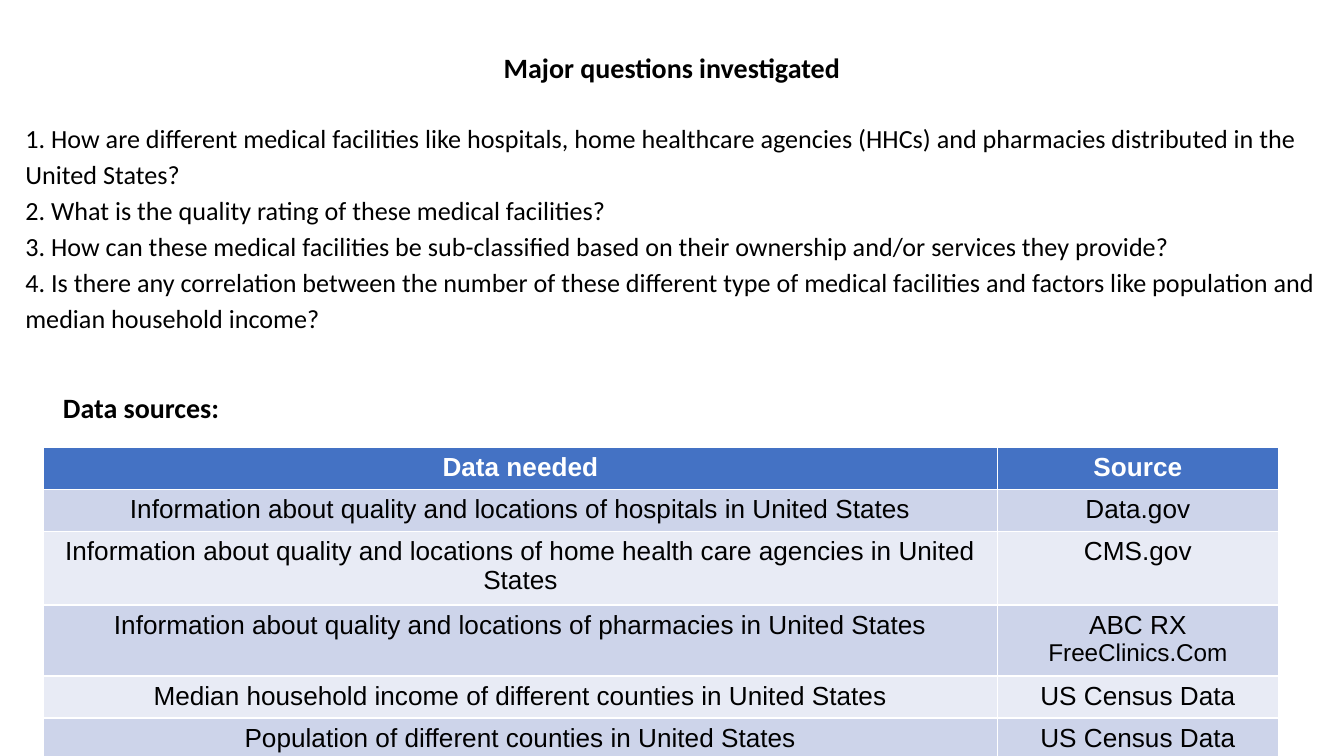
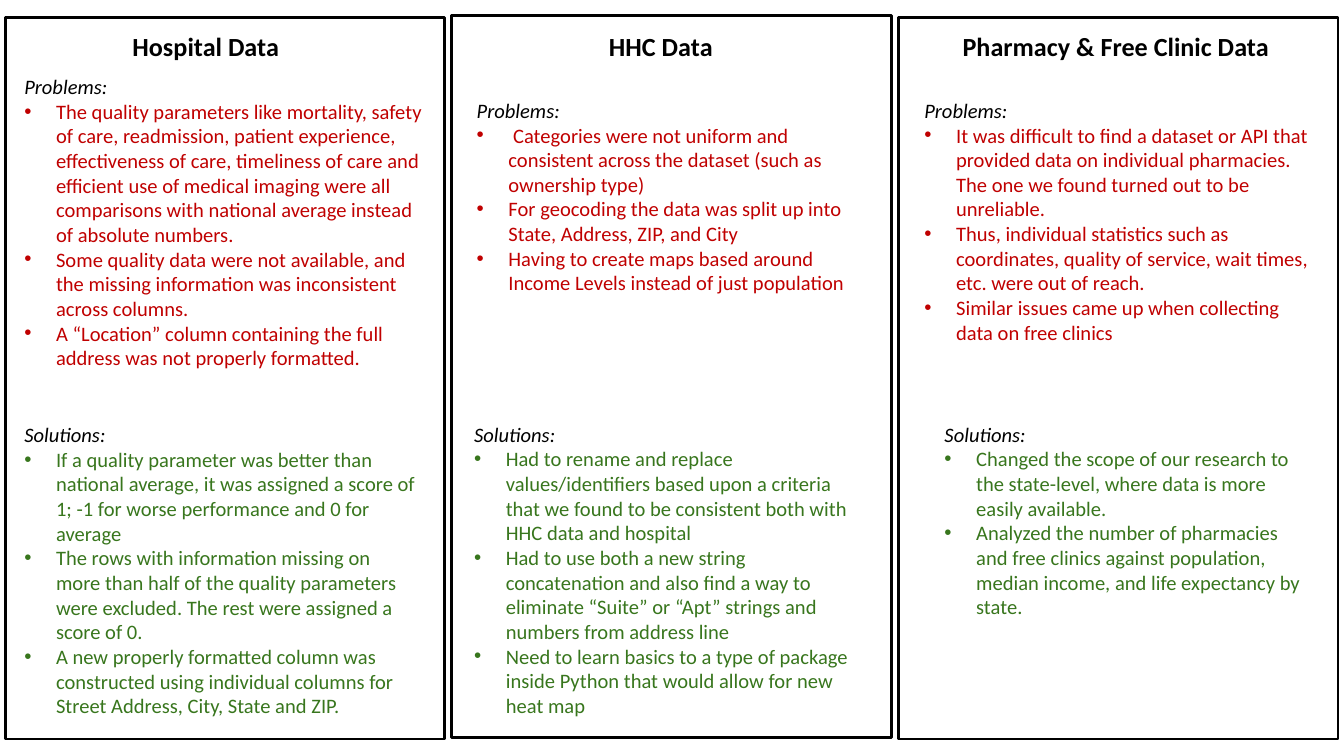
from lxml import etree
from pptx import Presentation
from pptx import oxml
from pptx import util as u
from pptx.dml.color import RGBColor
from pptx.enum import shapes, text

BLACK = RGBColor(0x00, 0x00, 0x00)
WHITE = RGBColor(0xFF, 0xFF, 0xFF)
RED = RGBColor(0xC0, 0x00, 0x00)
GREEN = RGBColor(0x38, 0x76, 0x1D)
HEADER_BLUE = RGBColor(0x44, 0x72, 0xC4)
BAND_DARK = RGBColor(0xCD, 0xD4, 0xEA)
BAND_LIGHT = RGBColor(0xE8, 0xEB, 0xF5)
HEADING_FONT = "Calibri"
TABLE_FONT = "Arial"
NARROW = (0.18, 0.1)
WIDE = (0.25, 0.25)


def add_box(page, left, top, width, height, margins):
    """Add a wrapping text box and return its text frame."""
    box = page.shapes.add_textbox(u.Cm(left), u.Cm(top), u.Cm(width), u.Cm(height))
    frame = box.text_frame
    frame.word_wrap = True
    frame.auto_size = text.MSO_AUTO_SIZE.SHAPE_TO_FIT_TEXT
    frame.margin_left = frame.margin_right = u.Cm(margins[0])
    frame.margin_top = frame.margin_bottom = u.Cm(margins[1])
    return frame


def add_para(frame, words, size, color=BLACK, bold=False, italic=False,
             align=text.PP_ALIGN.LEFT, font=HEADING_FONT, bullet=False):
    """Fill the first empty paragraph or add another one."""
    para = frame.paragraphs[0] if not frame.text else frame.add_paragraph()
    para.text = words
    para.alignment = align
    if bullet:
        props = para._p.get_or_add_pPr()
        props.set("marL", str(u.Cm(0.6)))
        props.set("indent", str(-u.Cm(0.6)))
        bullet_color = etree.SubElement(props, oxml.ns.qn("a:buClr"))
        etree.SubElement(bullet_color, oxml.ns.qn("a:srgbClr"), val=str(color))
        etree.SubElement(props, oxml.ns.qn("a:buFont"), typeface="Arial")
        etree.SubElement(props, oxml.ns.qn("a:buChar"), char="•")
    para.font.name = font
    para.font.size = u.Pt(size)
    para.font.bold = bold
    para.font.italic = italic
    para.font.color.rgb = color
    return para


deck = Presentation()
deck.slide_width = u.Cm(25.4)
deck.slide_height = u.Cm(14.29)
blank = deck.slide_layouts[6]

# Slide 1: questions
page = deck.slides.add_slide(blank)
questions = [
    "1. How are different medical facilities like hospitals, home healthcare agencies "
    "(HHCs) and pharmacies distributed in the United States?",
    "2. What is the quality rating of these medical facilities?",
    "3. How can these medical facilities be sub-classified based on their ownership "
    "and/or services they provide?",
    "4. Is there any correlation between the number of these different type of medical "
    "facilities and factors like population and median household income?",
]
frame = add_box(page, 0.3, 0.86, 24.8, 5.5, NARROW)
add_para(frame, "Major questions investigated", 15, bold=True, align=text.PP_ALIGN.CENTER)
for number, question in enumerate(questions):
    para = add_para(frame, question, 14)
    para.line_spacing = 1.15
    if number == 0:
        para.space_before = u.Pt(18)

# Slide 1: table of data sources
sources = [
    ("Data needed", ["Source"]),
    ("Information about quality and locations of hospitals in United States", ["Data.gov"]),
    ("Information about quality and locations of home health care agencies in United States",
     ["CMS.gov"]),
    ("Information about quality and locations of pharmacies in United States",
     ["ABC RX", "FreeClinics.Com"]),
    ("Median household income of different counties in United States", ["US Census Data"]),
    ("Population of different counties in United States", ["US Census Data"]),
]
row_height = u.Cm(0.77)
table = page.shapes.add_table(len(sources), 2, u.Cm(0.82), u.Cm(8.46),
                              u.Cm(23.34), row_height * len(sources)).table
table.columns[0].width = u.Cm(18.03)
table.columns[1].width = u.Cm(5.31)
for row, (needed, origins) in enumerate(sources):
    table.rows[row].height = row_height
    header = row == 0
    fill = HEADER_BLUE if header else BAND_DARK if row % 2 else BAND_LIGHT
    for column, lines in enumerate([[needed], origins]):
        cell = table.cell(row, column)
        cell.fill.solid()
        cell.fill.fore_color.rgb = fill
        cell.margin_left = cell.margin_right = u.Cm(0.2)
        cell.margin_top = cell.margin_bottom = u.Cm(0.1)
        for line, words in enumerate(lines):
            add_para(cell.text_frame, words, 13 if line else 14,
                     WHITE if header else BLACK, bold=header,
                     align=text.PP_ALIGN.CENTER, font=TABLE_FONT)

frame = add_box(page, 0.94, 7.14, 8.33, 1.14, WIDE)
add_para(frame, "Data sources:", 15, bold=True)

# Slide 2: one card per data set, each list with its place and margins
page = deck.slides.add_slide(blank)
cards = [
    ("Hospital Data", 0.33, [
        ("Problems:", RED, (0.28, 1.3, 7.95, 6.3), NARROW, [
            "The quality parameters like mortality, safety of care, readmission, patient "
            "experience, effectiveness of care, timeliness of care and efficient use of "
            "medical imaging were all comparisons with national average instead of "
            "absolute numbers.",
            "Some quality data were not available, and the missing information was "
            "inconsistent across columns.",
            "A “Location” column containing the full address was not properly formatted.",
        ]),
        ("Solutions:", GREEN, (0.28, 7.88, 7.77, 5.84), NARROW, [
            "If a quality parameter was better than national average, it was assigned a "
            "score of 1; -1 for worse performance and 0 for average",
            "The rows with information missing on more than half of the quality "
            "parameters were excluded. The rest were assigned a score of 0.",
            "A new properly formatted column was constructed using individual columns "
            "for Street Address, City, State and ZIP.",
        ]),
    ]),
    ("HHC Data", 0.3, [
        ("Problems:", RED, (8.76, 1.6, 7.85, 4.27), WIDE, [
            " Categories were not uniform and consistent across the dataset (such as "
            "ownership type)",
            "For geocoding the data was split up into State, Address, ZIP, and City",
            "Having to create maps based around Income Levels instead of just population",
        ]),
        ("Solutions:", GREEN, (8.71, 7.72, 7.77, 6.15), WIDE, [
            "Had to rename and replace values/identifiers based upon a criteria that we "
            "found to be consistent both with HHC data and hospital",
            "Had to use both a new string concatenation and also find a way to eliminate "
            "“Suite” or “Apt” strings and numbers from address line",
            "Need to learn basics to a type of package inside Python that would allow "
            "for new heat map",
        ]),
    ]),
    ("Pharmacy & Free Clinic Data", 0.33, [
        ("Problems:", RED, (17.22, 1.6, 7.95, 5.21), WIDE, [
            "It was difficult to find a dataset or API that provided data on individual "
            "pharmacies. The one we found turned out to be unreliable.",
            "Thus, individual statistics such as coordinates, quality of service, wait "
            "times, etc. were out of reach.",
            "Similar issues came up when collecting data on free clinics",
        ]),
        ("Solutions:", GREEN, (17.6, 7.72, 7.37, 4.27), WIDE, [
            "Changed the scope of our research to the state-level, where data is more "
            "easily available.",
            "Analyzed the number of pharmacies and free clinics against population, "
            "median income, and life expectancy by state.",
        ]),
    ]),
]
for number, (title, top, lists) in enumerate(cards):
    # Outlined card
    card = page.shapes.add_shape(shapes.MSO_SHAPE.RECTANGLE, u.Cm(0.1 + 8.44 * number),
                                 u.Cm(top), u.Cm(8.31), u.Cm(13.64))
    card.shadow.inherit = False
    card.fill.solid()
    card.fill.fore_color.rgb = WHITE
    card.line.color.rgb = BLACK
    card.line.width = u.Pt(1.5)

    # Card title
    frame = add_box(page, 0.54 + 8.6 * number, 0.48, 6.7, 0.78, NARROW)
    add_para(frame, title, 14, bold=True, align=text.PP_ALIGN.CENTER)

    # Problems and solutions
    for label, color, place, margins, points in lists:
        frame = add_box(page, *place, margins)
        add_para(frame, label, 11, italic=True)
        for point in points:
            add_para(frame, point, 11, color, bullet=True)

deck.save("out.pptx")
